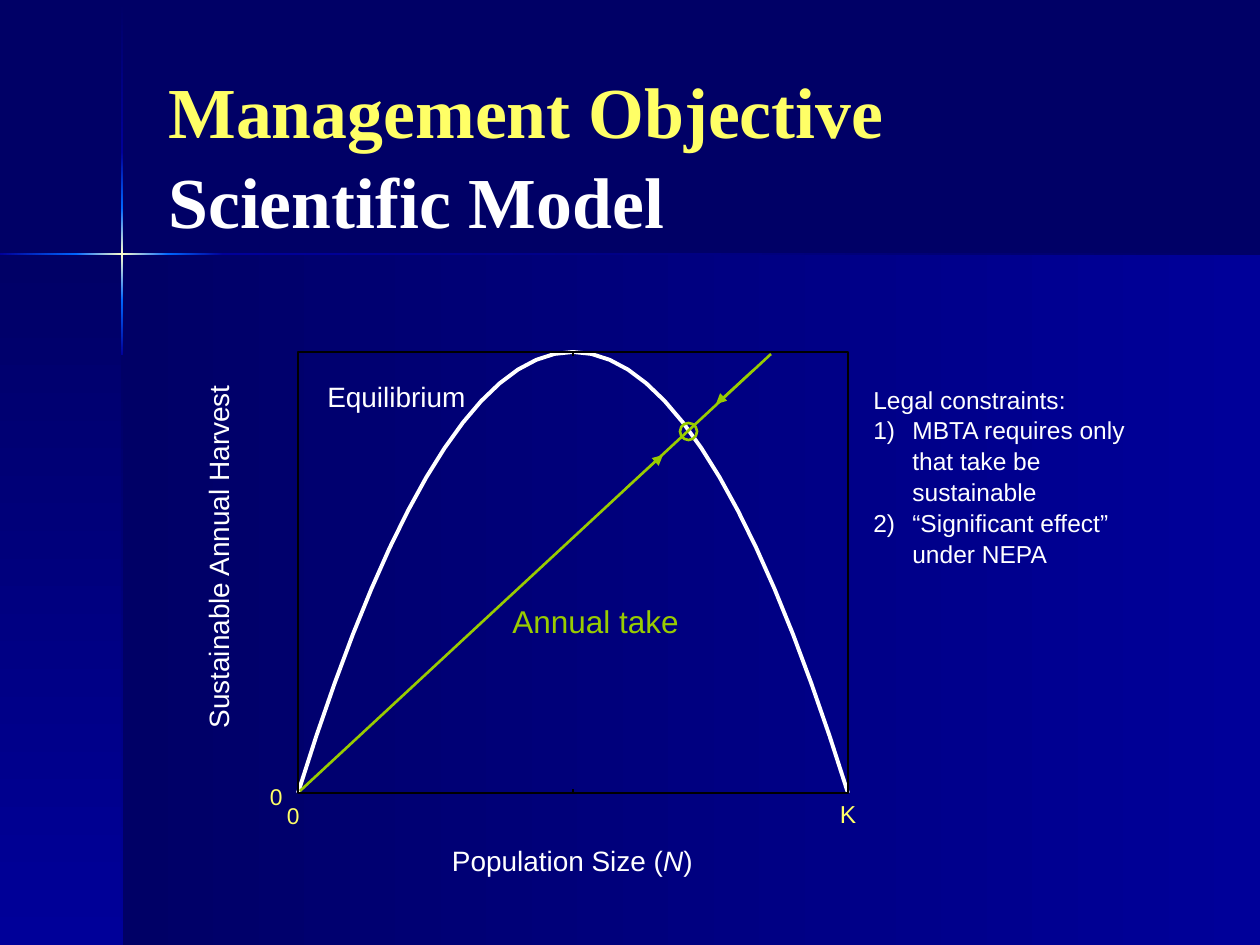
import pptx
import pptx.util
import pptx.dml.color
import pptx.enum.shapes
import pptx.enum.text
import pptx.oxml.ns
from lxml import etree

RGB = pptx.dml.color.RGBColor
KIND = pptx.enum.shapes.MSO_SHAPE
WHITE = RGB(0xFF, 0xFF, 0xFF)
BLACK = RGB(0, 0, 0)
YELLOW = RGB(0xFF, 0xFF, 0x66)
CREAM = RGB(0xFF, 0xFF, 0xCC)
GREEN = RGB(0x99, 0xCC, 0)
NAVY = RGB(0, 0, 0x66)
BLUE = RGB(0, 0, 0x99)
BRIGHT = RGB(0, 0x66, 0xFF)
DOWN, BACK = 270, 180
LEFT, TOP, RIGHT, BASE = 298, 352, 848, 793
MID = (LEFT + RIGHT) // 2


def px(num):
    return pptx.util.Emu(round(num * 914400 / 126))


def tag(root, name, **attrs):
    return etree.SubElement(root, pptx.oxml.ns.qn(name), attrs)


def band(slide, box, stops, angle):
    shape = slide.shapes.add_shape(KIND.RECTANGLE, *map(px, box))
    shape.shadow.inherit = False
    shape.line.fill.background()
    shape.fill.gradient()
    shape.fill.gradient_angle = angle
    marks = shape._element.spPr.find(".//" + pptx.oxml.ns.qn("a:gsLst"))
    for mark in list(marks):
        marks.remove(mark)
    for i, color in enumerate(stops):
        spot = tag(marks, "a:gs", pos=str(100000 * i // (len(stops) - 1)))
        tag(spot, "a:srgbClr", val=str(color))


def stroke(shape, color, width):
    shape.line.color.rgb = color
    shape.line.width = pptx.util.Pt(width)


def hollow(shape, color, width):
    shape.shadow.inherit = False
    shape.fill.background()
    stroke(shape, color, width)
    return shape


def outline(slide, kind, box, color, width):
    shape = slide.shapes.add_shape(kind, *map(px, box))
    return hollow(shape, color, width)


def trace(slide, points, color, width):
    spots = [(px(x), px(y)) for x, y in points]
    form = slide.shapes.build_freeform(*spots[0], scale=1.0)
    form.add_line_segments(spots[1:], close=False)
    return hollow(form.convert_to_shape(), color, width)


def line(slide, ends, color, width=1.5, arrow=False):
    link = slide.shapes.add_connector(
        pptx.enum.shapes.MSO_CONNECTOR.STRAIGHT, *map(px, ends))
    stroke(link, color, width)
    if arrow:
        tag(link.line._get_or_add_ln(), "a:tailEnd", type="triangle")
    tag(link._element.spPr, "a:effectLst")
    return link


def style(run, size, color, face="Arial"):
    run.font.name = face
    run.font.size = pptx.util.Pt(size)
    run.font.color.rgb = color


def label(slide, box, text, size, color, pad=False, wrap=False, face="Arial"):
    shape = slide.shapes.add_textbox(*map(px, box))
    frame = shape.text_frame
    frame.word_wrap = wrap
    if not pad:
        frame.margin_left = frame.margin_right = 0
        frame.margin_top = frame.margin_bottom = 0
    frame.text = text
    for para in frame.paragraphs:
        para.line_spacing = 1.05
        for run in para.runs:
            style(run, size, color, face)
    return shape


def number(para):
    props = para._p.get_or_add_pPr()
    props.set("marL", str(px(39)))
    props.set("indent", str(-px(39)))
    tag(tag(props, "a:buClr"), "a:srgbClr", val=str(WHITE))
    tag(props, "a:buFont", typeface="Arial")
    tag(props, "a:buAutoNum", type="arabicParenR")


def backdrop(slide):
    fill = slide.background.fill
    fill.solid()
    fill.fore_color.rgb = NAVY
    band(slide, (122, 255, 1138, 690), (BLUE, NAVY), BACK)
    band(slide, (0, 255, 122, 690), (NAVY, BLUE), DOWN)
    glow = (BRIGHT, CREAM, BRIGHT)
    for top, end, stops in (
            (1, 152, (NAVY, BLUE)), (355, 945, (NAVY, BLUE)),
            (300, 355, (BRIGHT, BLUE)), (152, 208, (BLUE, BRIGHT)),
            (208, 300, glow)):
        band(slide, (121, top, 2, end - top), stops, DOWN)
    for left, end, stops in (
            (223, 1260, (NAVY, BLUE)), (0, 77, (BRIGHT, BLUE)),
            (168, 223, (BLUE, BRIGHT)), (76, 168, glow)):
        band(slide, (left, 253, end - left, 2), stops, BACK)


def title(slide):
    shape = label(slide, (156, 64, 1021, 178),
                  "Management Objective\vScientific Model", 41, YELLOW,
                  pad=True, wrap=True, face="Times New Roman")
    frame = shape.text_frame
    frame.vertical_anchor = pptx.enum.text.MSO_ANCHOR.MIDDLE
    runs = frame.paragraphs[0].runs
    for run in runs:
        run.font.bold = True
    runs[1].font.color.rgb = WHITE


def curve(slide):
    steps = 15
    half = (RIGHT - LEFT) / 2
    points = [(MID + half * i / steps, TOP + (BASE - TOP) * (i / steps) ** 2)
              for i in range(-steps, steps + 1)]
    trace(slide, points, WHITE, 2.25)


def axes(slide):
    frame = outline(slide, KIND.RECTANGLE,
                    (LEFT, TOP, RIGHT - LEFT, BASE - TOP), BLACK, 1.5)
    for y, step, site in ((BASE, -4, 2), (TOP, 4, 0)):
        line(slide, (LEFT, y, RIGHT, y), BLACK)
        for x in (LEFT, MID, RIGHT):
            tick = line(slide, (x, y, x, y + step), BLACK)
            if x == MID:
                tick.begin_connect(frame, site)
        for x, inset in ((LEFT, 9), (RIGHT, -9)):
            line(slide, (x, y, x + inset, y), BLACK)
    trace(slide, ((LEFT, BASE), (RIGHT, BASE), (RIGHT, TOP)), BLACK, 1.5)
    line(slide, (LEFT, BASE, LEFT, TOP), BLACK)


def names(slide):
    side = label(slide, (44, 539, 345, 34), "Sustainable Annual Harvest",
                 16, WHITE)
    side.rotation = 270
    foot = label(slide, (452, 842, 241, 34), "Population Size (", 16, WHITE)
    para = foot.text_frame.paragraphs[0]
    for text, slant in (("N", True), (")", False)):
        run = para.add_run()
        run.text = text
        style(run, 16, WHITE)
        run.font.italic = slant
    label(slide, (287, 800, 13, 28), "0", 13, YELLOW)
    label(slide, (840, 798, 16, 29), "K", 14, YELLOW)
    label(slide, (270, 781, 13, 28), "0", 13, YELLOW)
    label(slide, (315, 372, 163, 47), "Equilibrium", 16, WHITE, pad=True)
    label(slide, (500, 594, 192, 50), "Annual take", 18, GREEN, pad=True)


def take(slide):
    line(slide, (300, 791, 771, 354), GREEN)
    line(slide, (625, 489, 663, 455), GREEN, 1, True)
    line(slide, (753, 370, 716, 404), GREEN, 1, True)
    outline(slide, KIND.OVAL, (680, 423, 17, 17), GREEN, 1.5)


def legal(slide):
    text = "\n".join(("Legal constraints:",
                      "MBTA requires only that take be sustainable",
                      "“Significant effect” under NEPA"))
    shape = label(slide, (861, 377, 305, 189), text, 14, WHITE,
                  pad=True, wrap=True)
    for para in shape.text_frame.paragraphs[1:]:
        number(para)


def main():
    deck = pptx.Presentation()
    deck.slide_width = px(1260)
    deck.slide_height = px(945)
    slide = deck.slides.add_slide(deck.slide_layouts[6])
    for draw in (backdrop, title, curve, axes, names, take, legal):
        draw(slide)
    deck.save("out.pptx")


if __name__ == "__main__":
    main()
